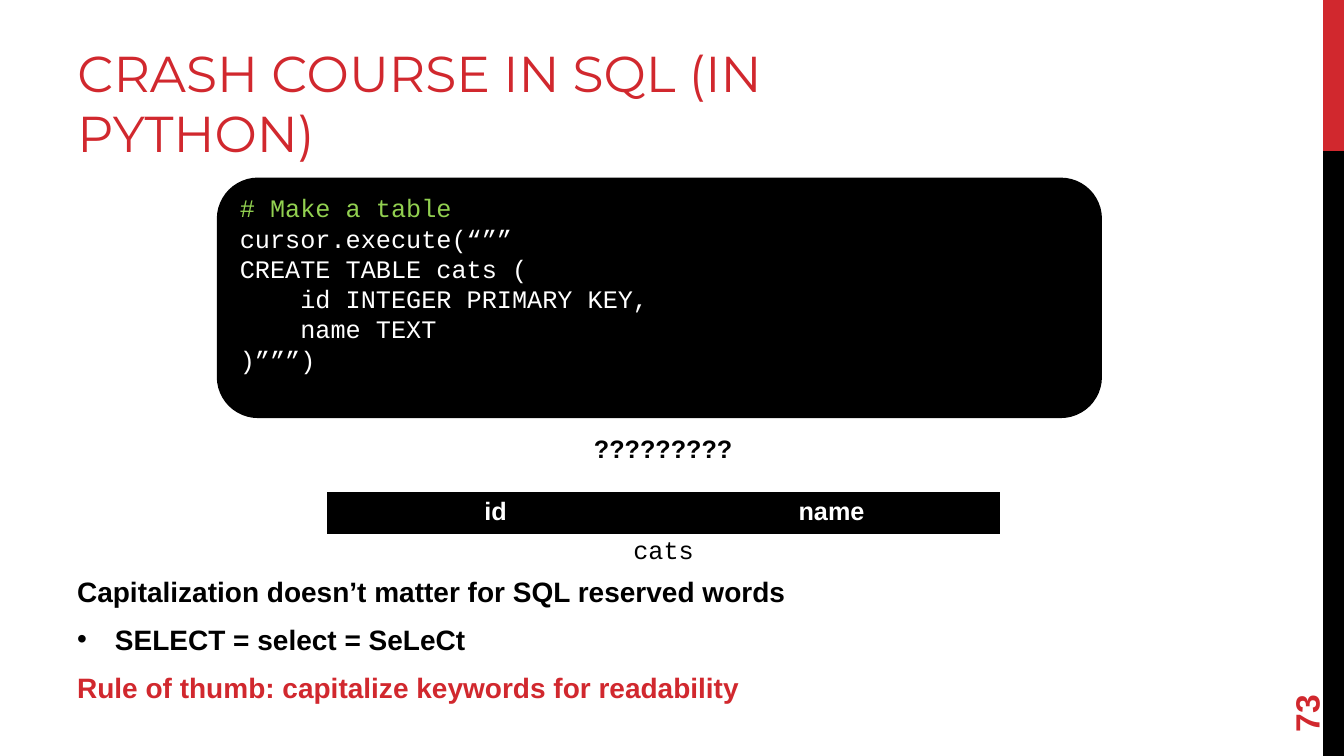
"""Build the SQL crash course slide about making a table."""
from dataclasses import dataclass

import lxml.etree
import pptx
import pptx.dml.color
import pptx.enum.shapes
import pptx.enum.text
import pptx.oxml.ns
import pptx.util

Pt = pptx.util.Pt
ALIGN = pptx.enum.text.PP_ALIGN
ANCHOR = pptx.enum.text.MSO_ANCHOR
SHAPE = pptx.enum.shapes.MSO_SHAPE
COLORS = {"red": "D1282E", "black": "000000", "white": "FFFFFF", "green": "92D050"}
CODE_FONT = "Courier New"
SIDEBAR_LEFT, SIDEBAR_WIDTH, SIDEBAR_SPLIT = 945, 15, 108


@dataclass(frozen=True)
class Box:
    left: float
    top: float
    width: float
    height: float

    def lengths(self) -> list:
        return [Pt(value) for value in (self.left, self.top, self.width, self.height)]


@dataclass(frozen=True)
class Line:
    text: str
    color: str = "black"
    bullet: bool = False


@dataclass(frozen=True)
class Label:
    box: Box
    lines: tuple
    size: float = 18
    font: str = "Arial"
    bold: bool = True
    align: ALIGN = ALIGN.CENTER
    anchor: ANCHOR = ANCHOR.TOP
    space: float = 0
    rotation: float = 0


CODE_BOX = Box(156, 128, 630, 169.5)
CODE_LINES = (
    Line("# Make a table", "green"),
    Line("cursor.execute(“””", "white"),
    Line("CREATE TABLE cats (", "white"),
    Line("    id INTEGER PRIMARY KEY,", "white"),
    Line("    name TEXT", "white"),
    Line(")”””)", "white"),
)
TABLE_BOX = Box(234, 352, 480, 29)
TABLE_HEADINGS = ("id", "name")
LABELS = (
    Label(
        Box(48, 407, 800, 104),
        (
            Line("Capitalization doesn’t matter for SQL reserved words"),
            Line("SELECT = select = SeLeCt", bullet=True),
            Line("Rule of thumb: capitalize keywords for readability", "red"),
        ),
        size=20, align=ALIGN.LEFT, space=10,
    ),
    Label(
        Box(881, 459, 104, 38), (Line("73", "red"),),
        size=24, align=ALIGN.LEFT, anchor=ANCHOR.MIDDLE, rotation=270,
    ),
    Label(Box(335.5, 306, 276.5, 29), (Line("?????????"),)),
    Label(Box(399, 378, 150, 29), (Line("cats"),), font=CODE_FONT, bold=False),
)


def rgb(name: str) -> pptx.dml.color.RGBColor:
    return pptx.dml.color.RGBColor.from_string(COLORS[name])


def add_element(parent, tag: str, **attributes: str):
    return lxml.etree.SubElement(parent, pptx.oxml.ns.qn(tag), **attributes)


def write(paragraph, text: str, *, size: float = 18, font: str = "Arial", color: str = "black",
          bold: bool = False, align: ALIGN = ALIGN.LEFT, space: float = 0,
          bullet: bool = False) -> None:
    if bullet:
        properties = paragraph._p.get_or_add_pPr()
        properties.set("marL", str(Pt(27)))
        properties.set("indent", str(-Pt(27)))
        add_element(properties, "a:buFont", typeface="Arial")
        add_element(properties, "a:buChar", char="•")
    paragraph.alignment = align
    paragraph.space_before = Pt(space)
    run = paragraph.add_run()
    run.text = text
    run.font.size = Pt(size)
    run.font.name = font
    run.font.bold = bold
    run.font.color.rgb = rgb(color)


def write_lines(frame, lines: tuple, *, space: float = 0, **text_format) -> None:
    for index, line in enumerate(lines):
        paragraph = frame.add_paragraph() if index else frame.paragraphs[0]
        write(paragraph, line.text, color=line.color, bullet=line.bullet,
              space=space if index else 0, **text_format)


def add_block(slide, kind: SHAPE, box: Box, color: str):
    shape = slide.shapes.add_shape(kind, *box.lengths())
    shape.shadow.inherit = False
    shape.fill.solid()
    shape.fill.fore_color.rgb = rgb(color)
    shape.line.fill.background()
    return shape


def add_title(slide, text: str) -> None:
    title = slide.shapes.title
    title.left, title.top, title.width, title.height = Box(48, 12, 608, 108).lengths()
    frame = title.text_frame
    frame.word_wrap = True
    frame.auto_size = pptx.enum.text.MSO_AUTO_SIZE.NONE
    frame.vertical_anchor = ANCHOR.BOTTOM
    write(frame.paragraphs[0], text, size=36, font="Montserrat", color="red")


def add_code(slide) -> None:
    panel = add_block(slide, SHAPE.ROUNDED_RECTANGLE, CODE_BOX, "black")
    panel.line.color.rgb = rgb("black")
    panel.line.width = Pt(2.25)
    frame = panel.text_frame
    frame.word_wrap = True
    frame.vertical_anchor = ANCHOR.MIDDLE
    frame.margin_bottom = Pt(24)
    write_lines(frame, CODE_LINES, font=CODE_FONT)


def add_label(slide, label: Label) -> None:
    shape = slide.shapes.add_textbox(*label.box.lengths())
    shape.rotation = label.rotation
    frame = shape.text_frame
    frame.word_wrap = True
    frame.vertical_anchor = label.anchor
    write_lines(frame, label.lines, size=label.size, font=label.font, bold=label.bold,
                align=label.align, space=label.space)


def add_cats_table(slide) -> None:
    shape = slide.shapes.add_table(1, len(TABLE_HEADINGS), *TABLE_BOX.lengths())
    table = shape.table
    table.first_row = table.horz_banding = False
    for cell, heading in zip(table.iter_cells(), TABLE_HEADINGS):
        properties = cell._tc.get_or_add_tcPr()
        for side in ("L", "R", "T", "B"):
            border = add_element(properties, f"a:ln{side}", w=str(Pt(0.75)))
            fill = add_element(border, "a:solidFill")
            add_element(fill, "a:srgbClr", val=COLORS["black"])
        cell.fill.solid()
        cell.fill.fore_color.rgb = rgb("black")
        write(cell.text_frame.paragraphs[0], heading, color="white", bold=True,
              align=ALIGN.CENTER)


def main() -> None:
    presentation = pptx.Presentation()
    presentation.slide_width, presentation.slide_height = Pt(960), Pt(540)
    slide = presentation.slides.add_slide(presentation.slide_layouts[5])
    for top, bottom, color in ((0, SIDEBAR_SPLIT, "red"), (SIDEBAR_SPLIT, 540, "black")):
        add_block(slide, SHAPE.RECTANGLE,
                  Box(SIDEBAR_LEFT, top, SIDEBAR_WIDTH, bottom - top), color)
    add_title(slide, "CRASH COURSE IN SQL (IN PYTHON)")
    add_code(slide)
    add_cats_table(slide)
    for label in LABELS:
        add_label(slide, label)
    presentation.save("out.pptx")


if __name__ == "__main__":
    main()
